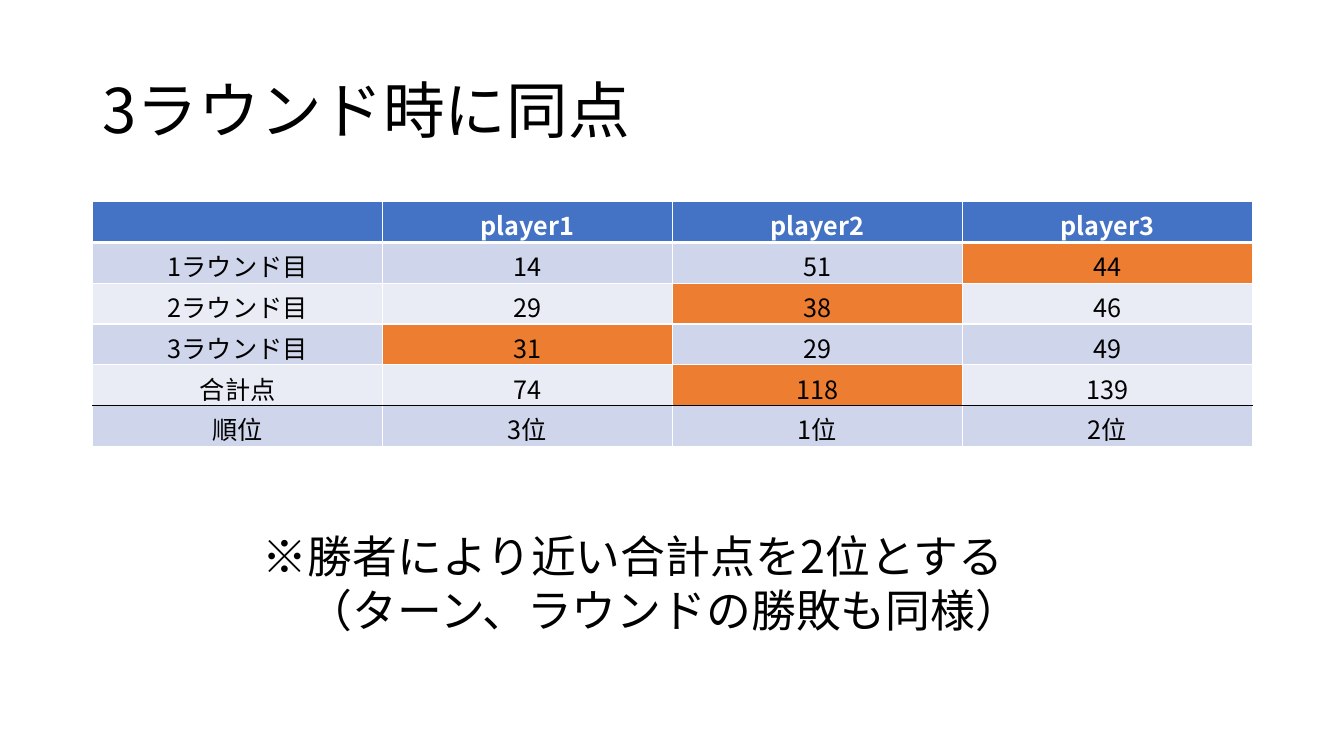
from dataclasses import dataclass

from lxml.etree import SubElement
from pptx import Presentation
from pptx.dml.color import RGBColor
from pptx.enum.text import MSO_ANCHOR as Anchor, MSO_AUTO_SIZE as AutoSize, PP_ALIGN as Align
from pptx.oxml import parse_xml
from pptx.oxml.ns import nsdecls, qn
from pptx.slide import Slide
from pptx.table import _Cell as Cell
from pptx.text.text import _Paragraph as Paragraph
from pptx.util import Inches, Pt

FONT = "Noto Sans CJK JP"
COLORS = {
    "text": "000000",
    "white": "FFFFFF",
    "header": "4472C4",
    "odd": "CFD5EA",
    "even": "E9EBF5",
    "winner": "ED7D31",
}


@dataclass
class TextBlock:
    left: float
    top: float
    width: float
    height: float
    lines: list[str]
    size: float
    spacing: float = 1.0
    anchor: Anchor = Anchor.TOP
    auto_size: AutoSize = AutoSize.NONE


@dataclass
class ScoreRow:
    values: list[str]
    winner: int | None = None  # column of the highlighted cell


TEXTS = [
    TextBlock(0.92, 0.4, 11.5, 1.45, ["3ラウンド時に同点"], 44, 0.9, Anchor.MIDDLE),
    TextBlock(2.51, 5.2, 8.32, 1.18,
              ["※勝者により近い合計点を2位とする", "　（ターン、ラウンドの勝敗も同様）"],
              32, auto_size=AutoSize.SHAPE_TO_FIT_TEXT),
]
ROWS = [
    ScoreRow(["", "player1", "player2", "player3"]),
    ScoreRow(["1ラウンド目", "14", "51", "44"], 3),
    ScoreRow(["2ラウンド目", "29", "38", "46"], 2),
    ScoreRow(["3ラウンド目", "31", "29", "49"], 1),
    ScoreRow(["合計点", "74", "118", "139"], 2),
    ScoreRow(["順位", "3位", "1位", "2位"]),
]
TOTAL_ROW = 4


def rgb(name: str) -> RGBColor:
    return RGBColor.from_string(COLORS[name])


def format_runs(p: Paragraph, size: float, color: str, bold: bool = False) -> None:
    for r in p.runs:
        r.font.size = Pt(size)
        r.font.bold = bold
        r.font.color.rgb = rgb(color)
        r.font.name = FONT
        SubElement(r.font._element, qn("a:ea"), typeface=FONT)


def add_text(s: Slide, block: TextBlock) -> None:
    sp = s.shapes.add_textbox(Inches(block.left), Inches(block.top),
                              Inches(block.width), Inches(block.height))
    tf = sp.text_frame
    tf.word_wrap = True
    tf.auto_size = block.auto_size
    tf.vertical_anchor = block.anchor
    tf.text = "\n".join(block.lines)
    for p in tf.paragraphs:
        p.line_spacing = block.spacing
        format_runs(p, block.size, "text")


def set_borders(cell: Cell, row: int) -> None:
    top = ("text", 1) if row == TOTAL_ROW + 1 else ("white", 3 if row == 1 else 1)
    bottom = ("text", 1) if row == TOTAL_ROW else ("white", 3 if row == 0 else 1)
    sides = {"lnL": ("white", 1), "lnR": ("white", 1), "lnT": top, "lnB": bottom}
    tc_pr = cell._tc.get_or_add_tcPr()
    for i, (tag, (color, width)) in enumerate(sides.items()):
        tc_pr.insert(i, parse_xml(
            f'<a:{tag} {nsdecls("a")} w="{Pt(width)}"><a:solidFill>'
            f'<a:srgbClr val="{COLORS[color]}"/></a:solidFill></a:{tag}>'))


def add_scores(s: Slide, rows: list[ScoreRow]) -> None:
    cols = len(rows[0].values)
    table = s.shapes.add_table(len(rows), cols, Inches(0.92), Inches(2),
                               Inches(11.5), Inches(2.43)).table
    for i, row in enumerate(rows):
        band = "header" if i == 0 else "odd" if i % 2 else "even"
        for j, value in enumerate(row.values):
            cell = table.cell(i, j)
            cell.fill.solid()
            cell.fill.fore_color.rgb = rgb("winner" if j == row.winner else band)
            set_borders(cell, i)
            cell.text_frame.text = value
            p = cell.text_frame.paragraphs[0]
            p.alignment = Align.CENTER
            format_runs(p, 18, "white" if i == 0 else "text", bold=i == 0)


def main() -> None:
    prs = Presentation()
    prs.slide_width, prs.slide_height = Inches(13.33), Inches(7.5)
    s = prs.slides.add_slide(prs.slide_layouts[6])

    # Title and note
    for block in TEXTS:
        add_text(s, block)

    # Score table
    add_scores(s, ROWS)

    prs.save("out.pptx")


if __name__ == "__main__":
    main()
